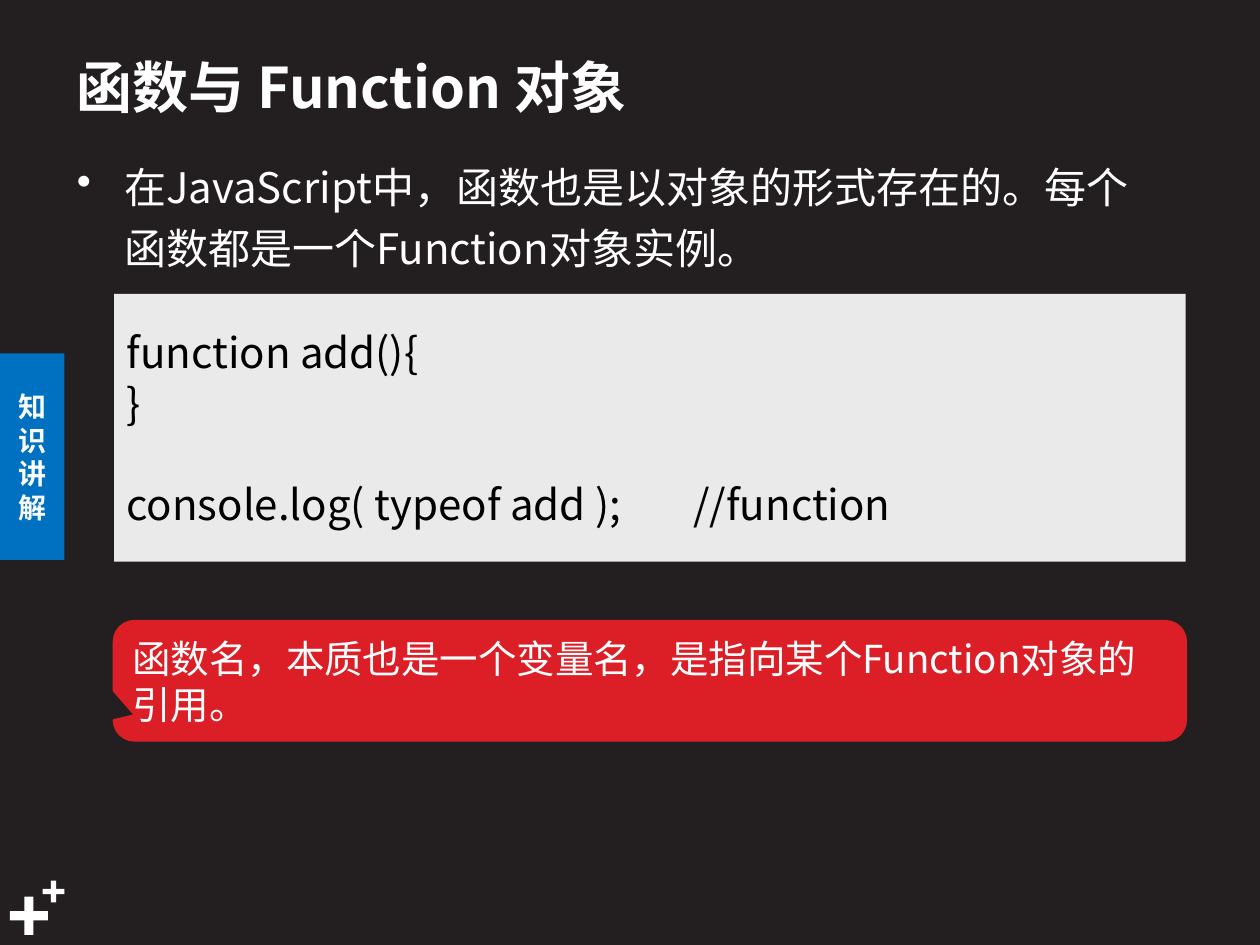
from dataclasses import dataclass

from lxml.etree import SubElement
from pptx import Presentation
from pptx.dml.color import RGBColor
from pptx.enum.shapes import MSO_SHAPE
from pptx.enum.text import MSO_ANCHOR, MSO_AUTO_SIZE, PP_ALIGN
from pptx.oxml.ns import qn
from pptx.util import Pt

FONT = "Noto Sans CJK SC"
COLOURS = {
    "background": "231F20",
    "white": "FFFFFF",
    "label": "F9FAFB",
    "blue": "0070C0",
    "grey": "EAEAEA",
    "red": "DC1F26",
    "black": "000000",
}


@dataclass
class Text:
    lines: tuple[str, ...]
    size: float
    colour: str
    bold: bool = False
    align: PP_ALIGN = PP_ALIGN.LEFT
    anchor: MSO_ANCHOR = MSO_ANCHOR.MIDDLE
    wrap: bool = True


@dataclass
class Block:
    left: float
    top: float
    width: float
    height: float
    shape: MSO_SHAPE | None = None
    fill: str = ""
    line: str = ""
    adjustments: tuple[float, ...] = ()
    text: Text | None = None


def colour(name: str) -> RGBColor:
    return RGBColor.from_string(COLOURS[name])


def write_text(box, text: Text) -> None:
    frame = box.text_frame
    frame.word_wrap = text.wrap
    frame.auto_size = MSO_AUTO_SIZE.NONE
    frame.vertical_anchor = text.anchor
    frame.text = "\n".join(text.lines)
    for para in frame.paragraphs:
        para.alignment = text.align
        font = para.font
        font.name, font.size, font.bold = FONT, Pt(text.size), text.bold
        font.color.rgb = colour(text.colour)
        # East Asian typeface
        properties = para._p.pPr.find(qn("a:defRPr"))
        SubElement(properties, qn("a:ea"), typeface=FONT)


def draw_block(page, block: Block):
    place = [Pt(n) for n in (block.left, block.top, block.width, block.height)]
    if block.shape is None:
        box = page.shapes.add_textbox(*place)
    else:
        box = page.shapes.add_shape(block.shape, *place)
        box.shadow.inherit = False
        box.fill.solid()
        box.fill.fore_color.rgb = colour(block.fill)
        if block.line:
            box.line.color.rgb = colour(block.line)
            box.line.width = Pt(1.5)
        else:
            box.line.fill.background()
        for index, value in enumerate(block.adjustments):
            box.adjustments[index] = value
    if block.text:
        write_text(box, block.text)
    return box


def add_bullet(para, indent: float) -> None:
    properties = para._p.get_or_add_pPr()
    properties.set("marL", str(Pt(indent)))
    properties.set("indent", str(-Pt(indent)))
    bullet = SubElement(properties, qn("a:buChar"), char="•")
    properties.find(qn("a:defRPr")).addprevious(bullet)


deck = Presentation()
deck.slide_width, deck.slide_height = Pt(720), Pt(540)
page = deck.slides.add_slide(deck.slide_layouts[6])
page.background.fill.solid()
page.background.fill.fore_color.rgb = colour("background")

# Corner plus signs
for left, top, side in ((5.6, 512.4, 21.8), (24.4, 503.2, 12.4)):
    draw_block(page, Block(left, top, side, side, MSO_SHAPE.CROSS, "white",
                           adjustments=(0.38,)))

# Side label
draw_block(page, Block(
    0, 202, 36.8, 118, MSO_SHAPE.RECTANGLE, "blue",
    text=Text(("知识讲解",), 16, "label", bold=True, align=PP_ALIGN.CENTER)))

# Title
draw_block(page, Block(
    36.8, 21, 533, 56,
    text=Text(("函数与 Function 对象",), 32, "white", bold=True)))

# Bulleted statement
statement = draw_block(page, Block(
    36.8, 83, 635, 74,
    text=Text(("在JavaScript中，函数也是以对象的形式存在的。"
               "每个函数都是一个Function对象实例。",),
              24, "white", anchor=MSO_ANCHOR.TOP)))
point = statement.text_frame.paragraphs[0]
point.line_spacing = 1.2
point.space_before = Pt(5)
add_bullet(point, 27)

# Code panel, with a one-line gap above the last line
code = draw_block(page, Block(
    65.2, 168, 612.4, 153, MSO_SHAPE.RECTANGLE, "grey",
    text=Text(("function add(){", "}", "console.log( typeof add );\t\t//function"),
              24, "black", wrap=False)))
code.text_frame.paragraphs[-1].space_before = Pt(29)

# Red callout
draw_block(page, Block(
    65.2, 355, 612.4, 68, MSO_SHAPE.ROUNDED_RECTANGULAR_CALLOUT, "red", "red",
    adjustments=(-0.48, 0.29, 0.17),
    text=Text(("函数名，本质也是一个变量名，是指向某个Function对象的引用。",),
              22, "white")))

deck.save("out.pptx")
